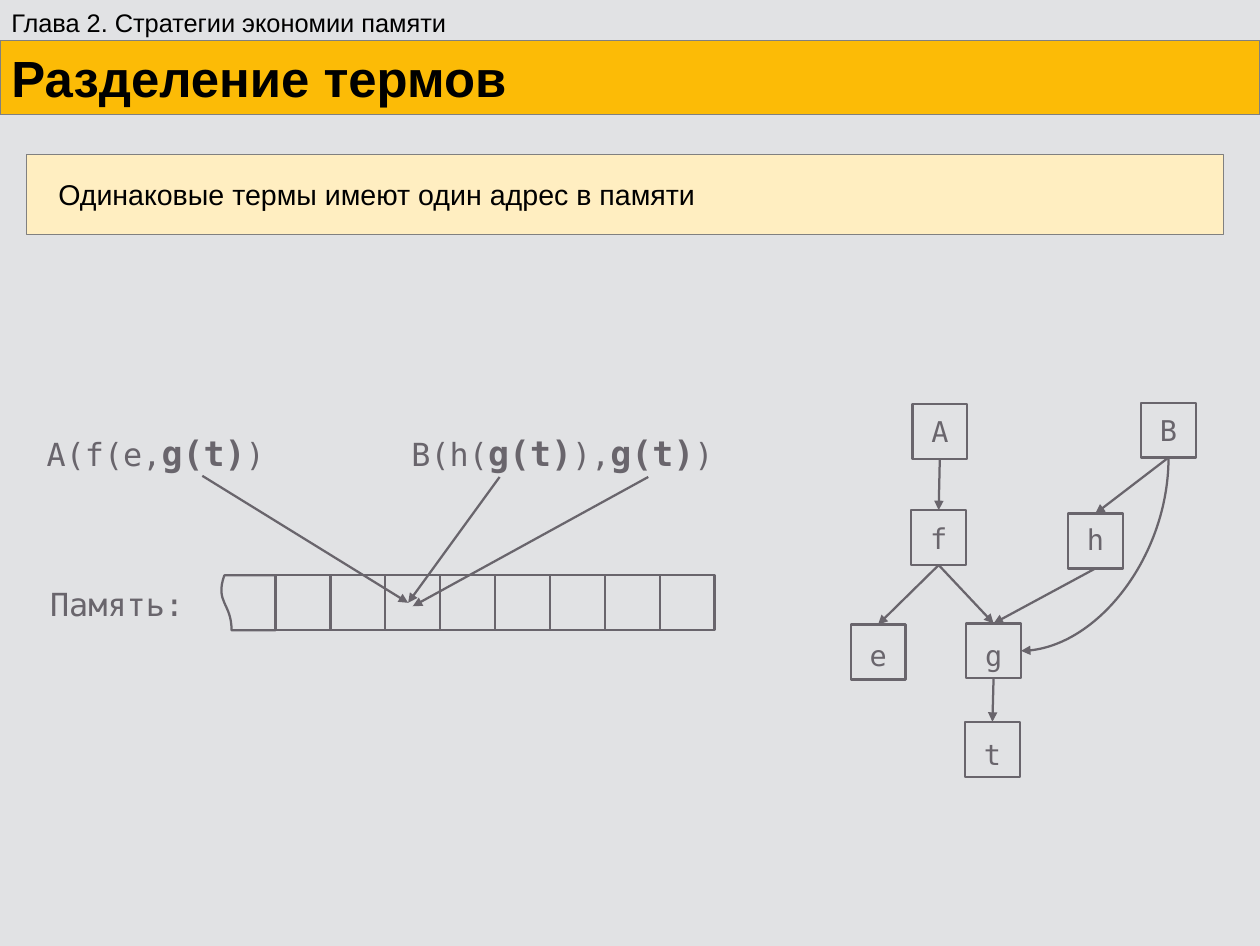
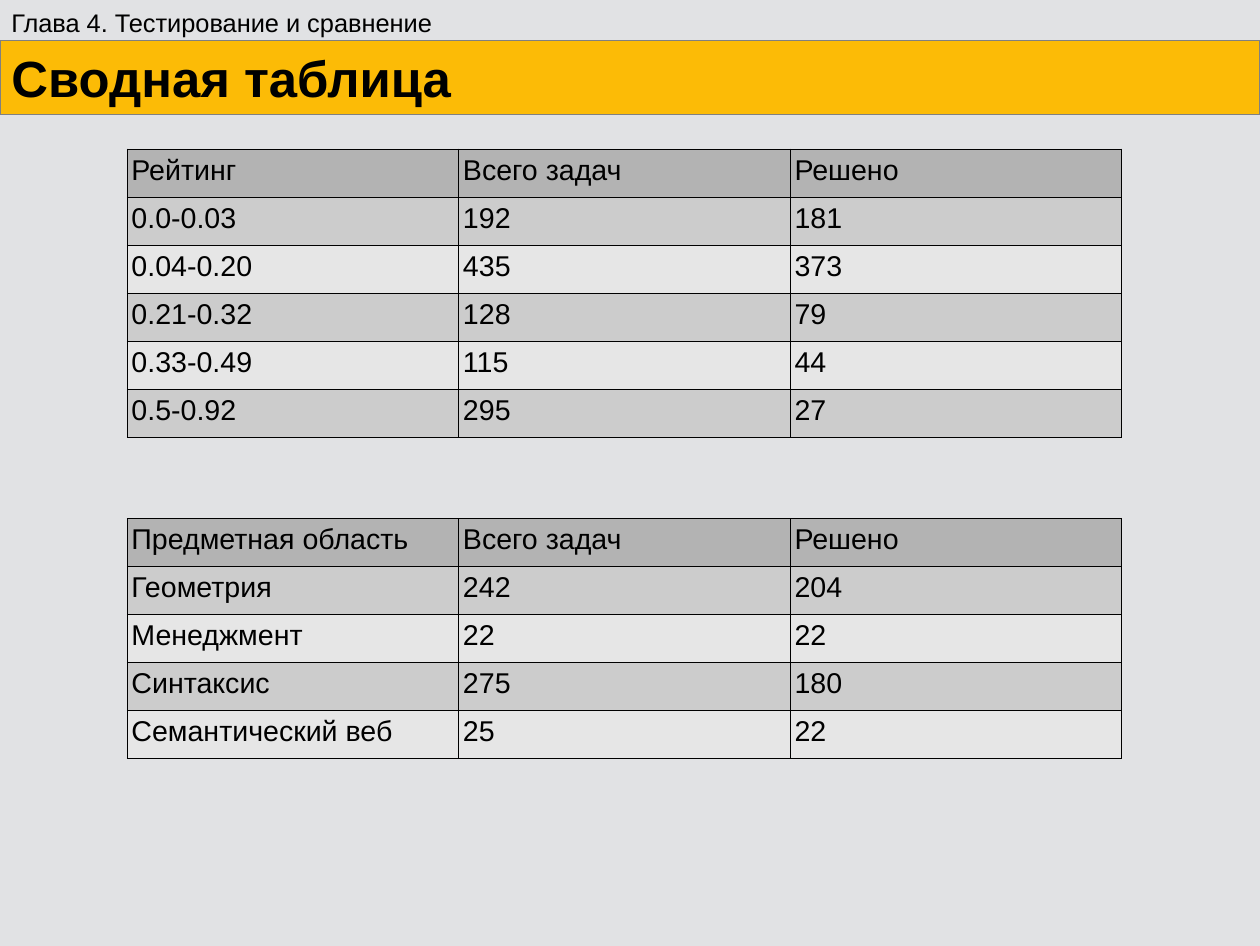
from lxml import etree
from pptx import Presentation
from pptx.dml.color import RGBColor
from pptx.enum.shapes import MSO_CONNECTOR, MSO_SHAPE
from pptx.enum.text import MSO_ANCHOR, PP_ALIGN
from pptx.oxml.ns import qn
from pptx.util import Inches, Pt

RECT, TORN = MSO_SHAPE.RECTANGLE, MSO_SHAPE.FLOWCHART_DOCUMENT
STRAIGHT, CURVE = MSO_CONNECTOR.STRAIGHT, MSO_CONNECTOR.CURVE
LEFT, CENTER = PP_ALIGN.LEFT, PP_ALIGN.CENTER
TOP, MIDDLE = MSO_ANCHOR.TOP, MSO_ANCHOR.MIDDLE
SITE_TOP, SITE_BOTTOM, SITE_RIGHT = 0, 2, 3

# Shared look
WIDTH, HEIGHT = 11.02, 8.27
SANS, MONO = "Arial", "DejaVu Sans Mono"
BACKGROUND, BAND, NOTE = "E1E2E4", "FCBB06", "FFEEC1"
BLACK, GREY, INK = "000000", "808080", "69656C"
HEADER, ROW_FILLS = "B3B3B3", ("CCCCCC", "E6E6E6")
STROKE, HAIRLINE = 1.42, 0.06

# Content: sharing of terms
SHARING = ("Глава 2. Стратегии экономии памяти", "Разделение термов")
STATEMENT = "Одинаковые термы имеют один адрес в памяти"
MEMORY_LABEL = "Память:"
# left, width, pieces of the term (shared subterms are bold)
TERMS = [
    (0.31, 2.77, [("A(f(e,", False), ("g(t)", True), (")", False)]),
    (3.5, 3.32, [("B(h(", False), ("g(t)", True), ("),", False),
                 ("g(t)", True), (")", False)]),
]
CELL = 0.48
CELL_COUNT = 8
MEMORY_LEFT, MEMORY_TOP = 1.93, 5.03
POINTERS = [((1.77, 4.16), (3.57, 5.27)), ((4.37, 4.17), (3.57, 5.27)),
            ((5.67, 4.17), (3.61, 5.3))]
# left, top and downward shift of the label
NODES = {
    "A": (7.98, 3.53, 0), "f": (7.97, 4.46, 0), "e": (7.44, 5.46, 0.03),
    "g": (8.45, 5.45, 0.04), "B": (9.98, 3.52, 0), "h": (9.34, 4.49, -0.02),
    "t": (8.44, 6.31, 0.04),
}
EDGES = ["Af", "fe", "fg", "Bh", "hg", "gt"]

# Content: summary tables
SUMMARY = ("Глава 4. Тестирование и сравнение", "Сводная таблица")
COUNTS = ("Всего задач", "Решено")
BY_RATING = [
    ("Рейтинг", *COUNTS),
    ("0.0-0.03", "192", "181"),
    ("0.04-0.20", "435", "373"),
    ("0.21-0.32", "128", "79"),
    ("0.33-0.49", "115", "44"),
    ("0.5-0.92", "295", "27"),
]
BY_SUBJECT = [
    ("Предметная область", *COUNTS),
    ("Геометрия", "242", "204"),
    ("Менеджмент", "22", "22"),
    ("Синтаксис", "275", "180"),
    ("Семантический веб", "25", "22"),
]
TABLES = [(1.3, BY_RATING), (4.53, BY_SUBJECT)]
TABLE_LEFT, COLUMN, ROW = 1.11, 2.9, 0.42


def color(code):
    return RGBColor.from_string(code)


def box(left, top, width, height):
    return [Inches(v) for v in (left, top, width, height)]


def paint(shape, fill, line, weight):
    if fill:
        shape.fill.solid()
        shape.fill.fore_color.rgb = color(fill)
    else:
        shape.fill.background()
    shape.line.color.rgb = color(line)
    shape.line.width = Pt(weight)


def write(frame, runs, font, ink, align=LEFT, anchor=TOP,
          insets=(0.1, 0.05, 0.1, 0.05)):
    """Fill a frame with one paragraph of (text, size, bold) runs."""
    frame.word_wrap = True
    frame.vertical_anchor = anchor
    (frame.margin_left, frame.margin_top,
     frame.margin_right, frame.margin_bottom) = box(*insets)
    paragraph = frame.paragraphs[0]
    paragraph.alignment = align
    for text, size, bold in runs:
        run = paragraph.add_run()
        run.text = text
        run.font.name = font
        run.font.size = Pt(size)
        run.font.bold = bold
        run.font.color.rgb = color(ink)


def add_text(slide, area, runs, font, ink):
    label = slide.shapes.add_textbox(*box(*area))
    write(label.text_frame, runs, font, ink)


def add_box(slide, area, fill=None, line=INK, weight=STROKE, kind=RECT):
    shape = slide.shapes.add_shape(kind, *box(*area))
    shape.shadow.inherit = False
    paint(shape, fill, line, weight)
    return shape


def add_arrow(slide, start=(0, 0), end=(0, 0), kind=STRAIGHT, tip="tailEnd"):
    arrow = slide.shapes.add_connector(
        kind, *[Inches(v) for v in (*start, *end)])
    arrow.line.color.rgb = color(INK)
    arrow.line.width = Pt(STROKE)
    etree.SubElement(arrow.line._get_or_add_ln(), qn("a:" + tip),
                     type="triangle")
    etree.SubElement(arrow._element.spPr, qn("a:effectLst"))
    return arrow


def add_slide(prs, chapter, heading):
    slide = prs.slides.add_slide(prs.slide_layouts[5])
    title = slide.shapes.title
    title.left, title.top, title.width, title.height = box(0, 0.35, WIDTH, 0.65)
    paint(title, BAND, GREY, 0)
    write(title.text_frame, [(heading, 32, True)], SANS, BLACK, anchor=MIDDLE)
    add_text(slide, (0, 0.01, WIDTH / 2, 0.35), [(chapter, 16, False)],
             SANS, BLACK)
    return slide


def draw_memory(slide):
    add_text(slide, (0.34, 5.06, 1.5, 0.42), [(MEMORY_LABEL, 20, False)],
             MONO, INK)
    for i in range(CELL_COUNT + 1):
        area = (MEMORY_LEFT + i * CELL, MEMORY_TOP, CELL, CELL)
        if i == 0:
            add_box(slide, area, kind=TORN).rotation = 90
        else:
            add_box(slide, area)
    for left, width, pieces in TERMS:
        runs = [(text, 22 if shared else 20, shared) for text, shared in pieces]
        add_text(slide, (left, 3.72, width, 0.45), runs, MONO, INK)
    for start, end in POINTERS:
        add_arrow(slide, start, end)


def draw_graph(slide):
    nodes = {}
    for name, (left, top, shift) in NODES.items():
        node = nodes[name] = add_box(slide, (left, top, CELL, CELL))
        write(node.text_frame, [(name, 18, False)], MONO, INK, CENTER, MIDDLE,
              (0, max(2 * shift, 0), 0, max(-2 * shift, 0)))
    for parent, child in EDGES:
        edge = add_arrow(slide)
        edge.begin_connect(nodes[parent], SITE_BOTTOM)
        edge.end_connect(nodes[child], SITE_TOP)
    # The curve leaves g sideways and reaches B from below
    curve = add_arrow(slide, kind=CURVE, tip="headEnd")
    curve.begin_connect(nodes["g"], SITE_RIGHT)
    curve.end_connect(nodes["B"], SITE_BOTTOM)
    curve._element.spPr.find(qn("a:prstGeom")).set("prst", "curvedConnector2")


def add_borders(cell):
    properties = cell._tc.get_or_add_tcPr()
    for side in ("lnL", "lnR", "lnT", "lnB"):
        line = etree.SubElement(properties, qn("a:" + side),
                                w=str(Pt(HAIRLINE)))
        fill = etree.SubElement(line, qn("a:solidFill"))
        etree.SubElement(fill, qn("a:srgbClr"), val=BLACK)


def draw_table(slide, top, rows):
    columns = len(rows[0])
    area = box(TABLE_LEFT, top, columns * COLUMN, len(rows) * ROW)
    table = slide.shapes.add_table(len(rows), columns, *area).table
    for r, row in enumerate(rows):
        for c, value in enumerate(row):
            cell = table.cell(r, c)
            add_borders(cell)
            cell.fill.solid()
            cell.fill.fore_color.rgb = color(
                ROW_FILLS[(r - 1) % 2] if r else HEADER)
            write(cell.text_frame, [(value, 18, False)], SANS, BLACK)
            cell.margin_left = cell.margin_right = Inches(0.04)
            cell.margin_top = cell.margin_bottom = Inches(0.05)


def main():
    prs = Presentation()
    prs.slide_width, prs.slide_height = Inches(WIDTH), Inches(HEIGHT)
    background = prs.slide_master.background.fill
    background.solid()
    background.fore_color.rgb = color(BACKGROUND)

    # Sharing of terms
    sharing = add_slide(prs, *SHARING)
    note = add_box(sharing, (0.23, 1.35, 0.95 * WIDTH, 0.7), NOTE, GREY, 0)
    write(note.text_frame, [(STATEMENT, 18, False)], SANS, BLACK,
          anchor=MIDDLE, insets=(0.28, 0.05, 0.28, 0.05))
    draw_memory(sharing)
    draw_graph(sharing)

    # Summary tables
    summary = add_slide(prs, *SUMMARY)
    for top, rows in TABLES:
        draw_table(summary, top, rows)

    prs.save("out.pptx")


if __name__ == "__main__":
    main()
